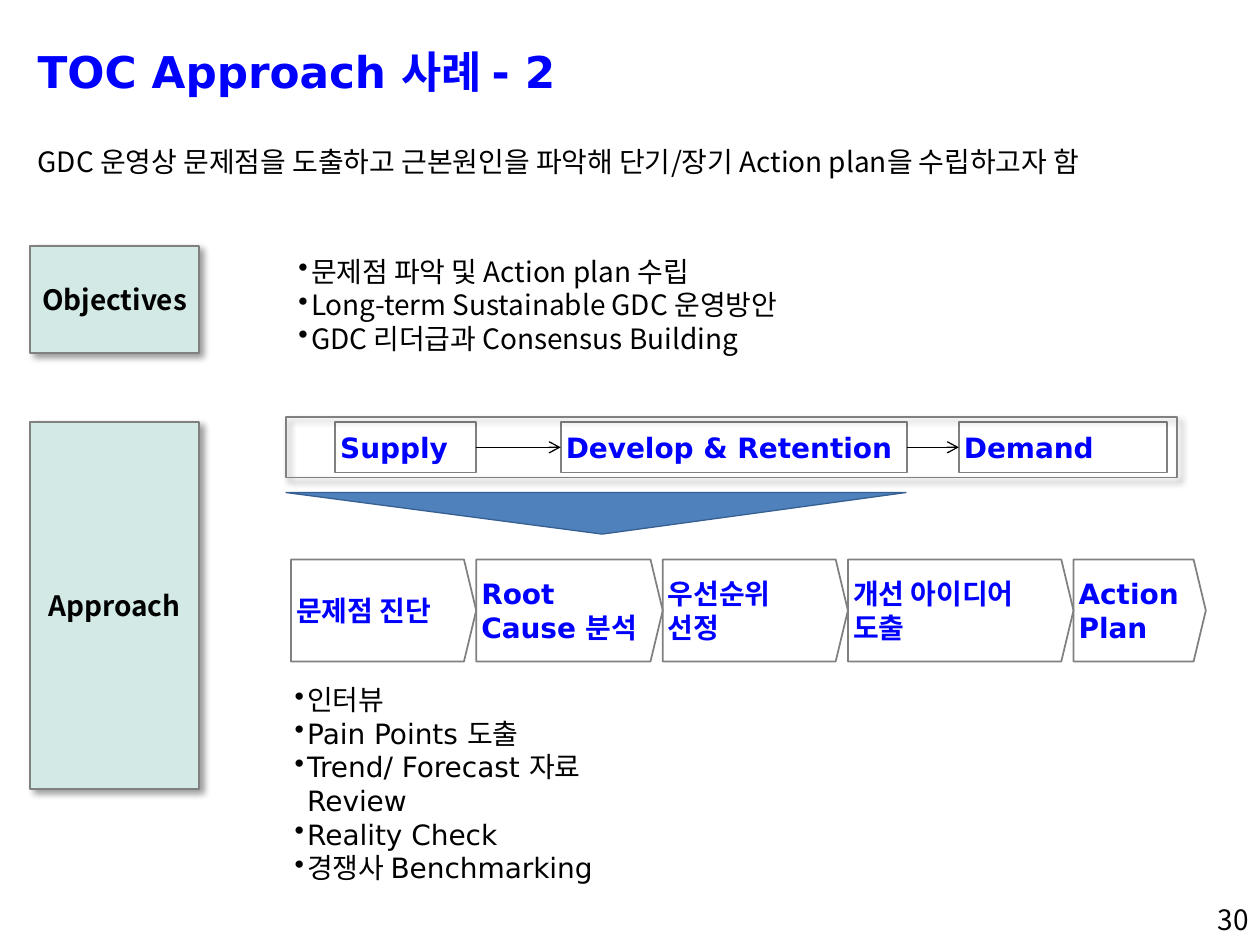
from itertools import pairwise
from pptx import Presentation
from pptx.dml.color import RGBColor
from pptx.enum.shapes import MSO_CONNECTOR as Connector, MSO_SHAPE as Shape
from pptx.enum.text import MSO_ANCHOR as Anchor, PP_ALIGN as Align
from pptx.oxml.ns import qn
from pptx.oxml.xmlchemy import OxmlElement as Element
from pptx.util import Inches, Pt

COLORS = {"blue": "0000FF", "black": "000000", "mint": "D3E9E5", "gray": "808080",
          "arrow": "4F81BD", "arrow edge": "376092"}
SANS, KOREAN = "DejaVu Sans", "Noto Sans CJK KR"

# Content: places are left, top, width, height on a grid of 100 columns by 75 rows
COLUMNS, ROWS = 100, 75
PAGE_NUMBER = ("30", (93.4, 71.8, 6.7, 2.3))
TITLE = ("TOC Approach 사례 - 2", (2, 3.1, 96.1, 5.2))
SUMMARY = ("GDC 운영상 문제점을 도출하고 근본원인을 파악해 단기/장기 Action plan을 수립하고자 함",
           (2, 10.7, 95.9, 4))
LABELS = [("Objectives", 19.5, 8.5), ("Approach", 33.5, 29.1)]
OBJECTIVES = ["문제점 파악 및 Action plan 수립", "Long-term Sustainable GDC 운영방안",
              "GDC 리더급과 Consensus Building"]
ACTIVITIES = ["인터뷰", "Pain Points 도출", "Trend/ Forecast 자료 Review",
              "Reality Check", "경쟁사 Benchmarking"]
STEPS = [["문제점 진단"], ["Root Cause 분석"], ["우선순위", "선정"],
         ["개선 아이디어 도출"], ["Action Plan"]]
STEP_EDGES = [23.1, 37.8, 52.6, 67.3, 85.2, 95.7]
FLOW = [("Supply", 26.6, 11.2), ("Develop & Retention", 44.5, 27.5), ("Demand", 76.1, 16.5)]
FLOW_FRAME = (22.7, 33.1, 70.7, 4.8)

# Formats
BODY = {"size": Pt(16), "name": KOREAN, "bold": False}
PLAIN = {**BODY, "name": SANS}
LABEL = {**BODY, "bold": True}
STRONG = {**PLAIN, "bold": True}
HEADING = {**STRONG, "size": Pt(25)}
SHAPE_FRAME = {"word_wrap": True, "vertical_anchor": Anchor.MIDDLE,
               "margin_left": Inches(0.04), "margin_right": Inches(0.04)}

presentation = Presentation()
presentation.slide_width, presentation.slide_height = Inches(10), Inches(7.5)
slide = presentation.slides.add_slide(presentation.slide_layouts[6])


def color(name):
    return RGBColor.from_string(COLORS[name])


def grid(place):
    cell = presentation.slide_width / COLUMNS, presentation.slide_height / ROWS
    return [round(value * cell[i % 2]) for i, value in enumerate(place)]


def apply(target, values):
    for name, value in values.items():
        setattr(target, name, value)


def add_child(parent, tag, **attributes):
    child = Element(tag)
    for name, value in attributes.items():
        child.set(name, str(value))
    parent.append(child)
    return child


def write(shape, lines, font, ink="black", frame=None, bullet=False, **layout):
    text_frame = shape.text_frame
    apply(text_frame, frame or {"word_wrap": True})
    text_frame.text = "\n".join(lines)
    for paragraph in text_frame.paragraphs:
        apply(paragraph, {"alignment": Align.LEFT, **layout})
        if bullet:
            properties = paragraph._p.get_or_add_pPr()
            properties.set("marL", str(Inches(0.1)))
            properties.set("indent", str(-Inches(0.1)))
            add_child(properties, "a:buChar", char="•")
        for run in paragraph.runs:
            apply(run.font, font)
            run.font.color.rgb = color(ink)
            add_child(run._r.get_or_add_rPr(), "a:ea", typeface=KOREAN)


def add_text(place, lines, font, **options):
    write(slide.shapes.add_textbox(*grid(place)), lines, font, **options)


def add_box(kind, place, fill=None, line="gray", width=1, adjust=(), shadow=False):
    shape = slide.shapes.add_shape(kind, *grid(place))
    for i, value in enumerate(adjust):
        shape.adjustments[i] = value
    if fill:
        shape.fill.solid()
        shape.fill.fore_color.rgb = color(fill)
    else:
        shape.fill.background()
    shape.line.color.rgb = color(line)
    shape.line.width = Pt(width)
    shape.shadow.inherit = False
    if shadow:
        effects = shape._element.spPr.find(qn("a:effectLst"))
        outer = add_child(effects, "a:outerShdw", blurRad=Pt(4), dist=Pt(3),
                          dir=45 * 60000, algn="tl", rotWithShape=0)
        tint = add_child(outer, "a:srgbClr", val=COLORS["black"])
        add_child(tint, "a:alpha", val=40000)
    return shape


def add_arrow(start, end):
    arrow = slide.shapes.add_connector(Connector.STRAIGHT, 0, 0, 0, 0)
    arrow.begin_connect(start, 3)
    arrow.end_connect(end, 1)
    arrow.line.color.rgb = color("black")
    arrow.line.width = Pt(0.75)
    add_child(arrow.line._get_or_add_ln(), "a:tailEnd", type="arrow")
    add_child(arrow._element.spPr, "a:effectLst")


# Page number and summary
text, place = PAGE_NUMBER
add_text(place, [text], BODY, frame={"word_wrap": True, "vertical_anchor": Anchor.MIDDLE},
         alignment=Align.RIGHT)
text, place = SUMMARY
add_text(place, [text], BODY, line_spacing=1.1)

# Section labels on the left
for text, top, height in LABELS:
    label = add_box(Shape.DOWN_ARROW, (2.4, top, 13.4, height), fill="mint",
                    adjust=(1, 0), shadow=True)
    write(label, [text], LABEL, frame=SHAPE_FRAME, alignment=Align.CENTER)

# Objectives
add_text((22.7, 19.7, 67.1, 9.1), OBJECTIVES, BODY, bullet=True)

# Approach steps and the activities below them
for lines, (left, right) in zip(STEPS, pairwise(STEP_EDGES)):
    step = add_box(Shape.PENTAGON, (left, 44.4, right - left, 8.1), adjust=(0.12,))
    write(step, lines, STRONG, ink="blue", frame=SHAPE_FRAME)
add_text((22.4, 53.7, 32.4, 17.2), ACTIVITIES, PLAIN, bullet=True)

# Wide pointer from the flow to the steps
pointer = add_box(Shape.ISOSCELES_TRIANGLE, (22.7, 39.1, 49.2, 3.3), fill="arrow",
                  line="arrow edge", width=0.75, adjust=(0.51,))
pointer._element.spPr.find(qn("a:xfrm")).set("flipV", "1")

# Supply to demand flow
stages = []
for text, left, width in FLOW:
    stage = add_box(Shape.RECTANGLE, (left, 33.5, width, 4))
    write(stage, [text], STRONG, ink="blue", frame=SHAPE_FRAME)
    stages.append(stage)
add_box(Shape.RECTANGLE, FLOW_FRAME, shadow=True)
for start, end in pairwise(stages):
    add_arrow(start, end)

# Title
text, place = TITLE
add_text(place, [text], HEADING, ink="blue")

presentation.save("out.pptx")
